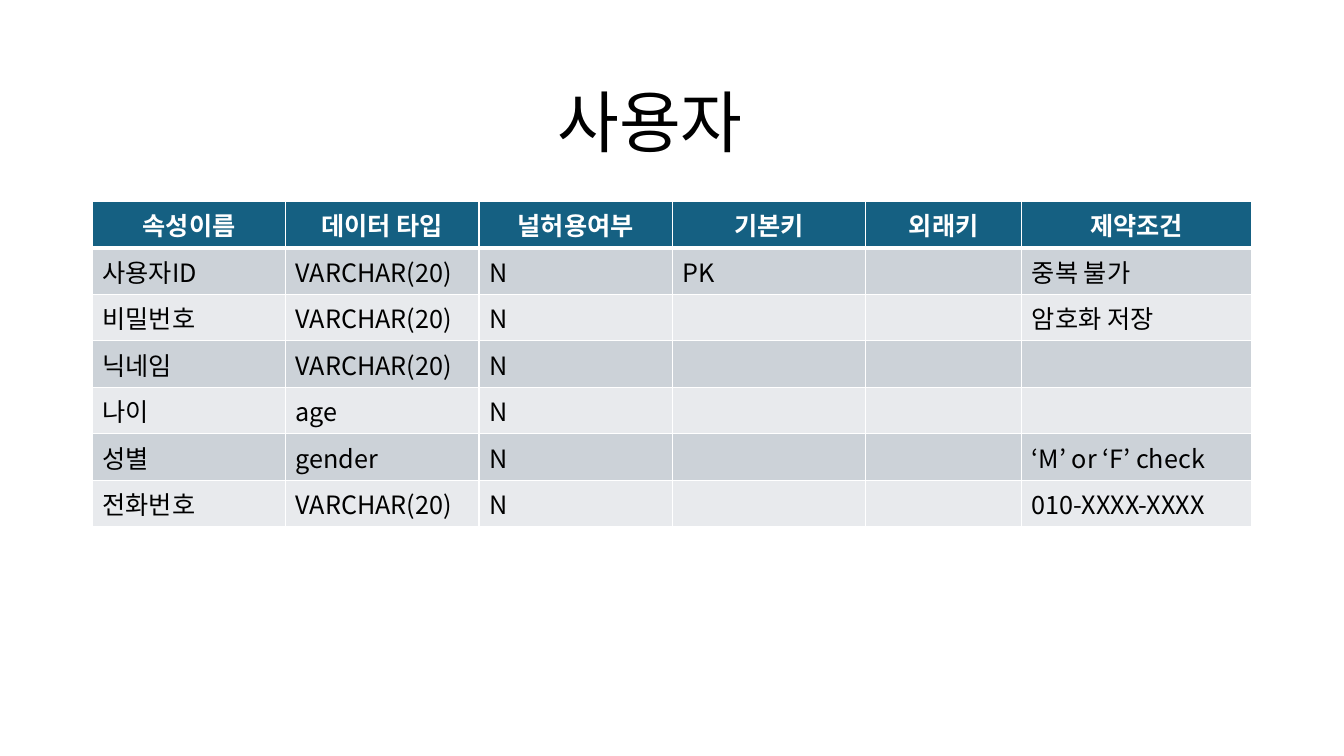
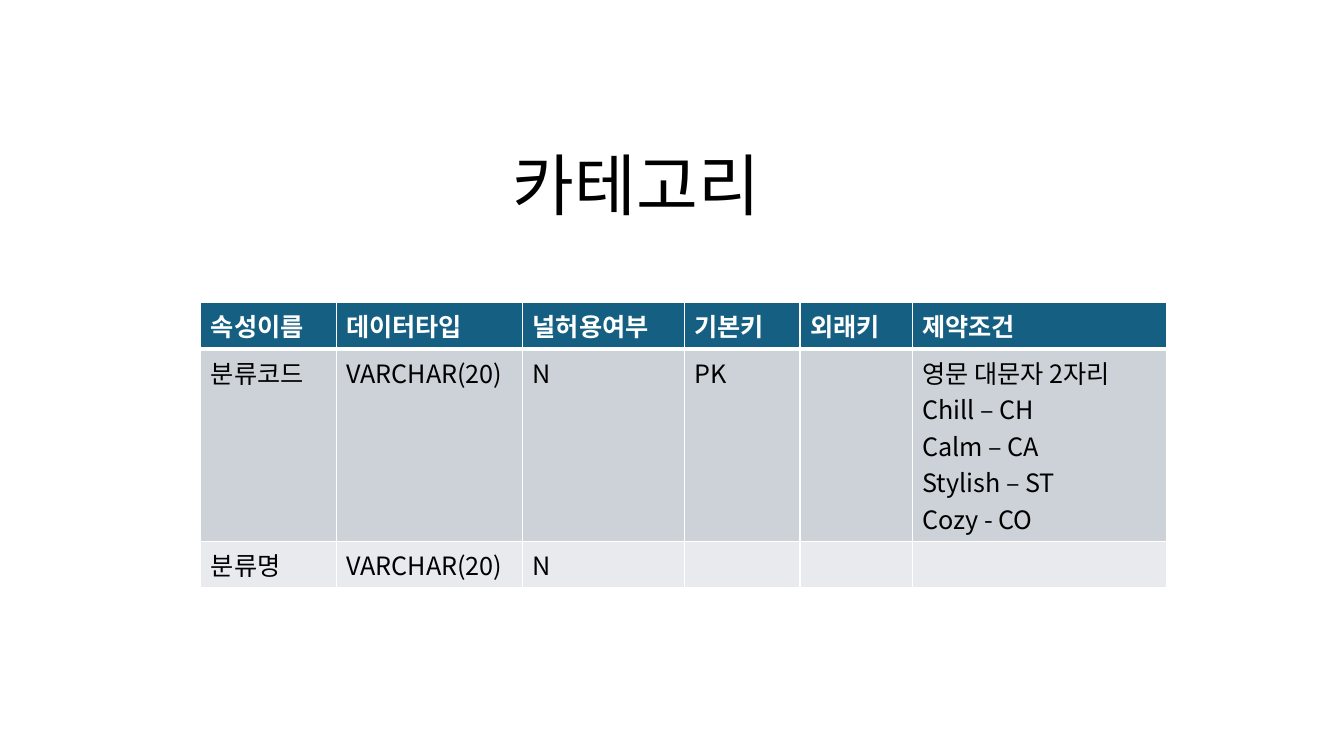
"""Build two slides that describe the user and category database tables."""
import lxml.etree
import pptx
import pptx.dml.color
import pptx.enum.text
import pptx.oxml.ns
import pptx.util

Cm = pptx.util.Cm
Pt = pptx.util.Pt
ALIGN = pptx.enum.text.PP_ALIGN
qn = pptx.oxml.ns.qn

FONT = "Noto Sans CJK KR"
COLORS = {
    "text": "000000",
    "header": "156082",
    "header_text": "FFFFFF",
    "band_dark": "CCD2D8",
    "band_light": "E8EAED",
    "border": "FFFFFF",
}
TITLE_SIZE = (7.37, 2.31)
ROW_HEIGHT = 1.17
EXTRA_LINE_HEIGHT = 0.92
THIN, THICK = 1, 3

USER_ROWS = [
    ["속성이름", "데이터 타입", "널허용여부", "기본키", "외래키", "제약조건"],
    ["사용자ID", "VARCHAR(20)", "N", "PK", "", "중복 불가"],
    ["비밀번호", "VARCHAR(20)", "N", "", "", "암호화 저장"],
    ["닉네임", "VARCHAR(20)", "N", "", "", ""],
    ["나이", "age", "N", "", "", ""],
    ["성별", "gender", "N", "", "", "‘M’ or ‘F’ check"],
    ["전화번호", "VARCHAR(20)", "N", "", "", "010-XXXX-XXXX"],
]
CODE_RULES = "영문 대문자 2자리\nChill – CH\nCalm – CA\nStylish – ST\nCozy - CO"
CATEGORY_ROWS = [
    ["속성이름", "데이터타입", "널허용여부", "기본키", "외래키", "제약조건"],
    ["분류코드", "VARCHAR(20)", "N", "PK", "", CODE_RULES],
    ["분류명", "VARCHAR(20)", "N", "", "", ""],
]


def rgb(name):
    """Return the named colour."""
    return pptx.dml.color.RGBColor.from_string(COLORS[name])


def row_height(values):
    """Return the height in centimetres that the tallest cell of a row needs."""
    extra_lines = max(value.count("\n") for value in values)
    return ROW_HEIGHT + EXTRA_LINE_HEIGHT * extra_lines


def format_text(frame, size, color, bold=False, align=ALIGN.LEFT):
    """Format every paragraph and run of a text frame."""
    for paragraph in frame.paragraphs:
        paragraph.alignment = align
        for run in paragraph.runs:
            run.font.name = FONT
            run.font.size = Pt(size)
            run.font.bold = bold
            run.font.color.rgb = rgb(color)
            east_asian = lxml.etree.Element(qn("a:ea"), typeface=FONT)
            run.font._element.find(qn("a:latin")).addnext(east_asian)


def set_borders(cell, top, bottom):
    """Draw the four borders of a cell, with widths in points."""
    properties = cell._tc.get_or_add_tcPr()
    widths = {"lnL": THIN, "lnR": THIN, "lnT": top, "lnB": bottom}
    for position, (side, width) in enumerate(widths.items()):
        line = lxml.etree.Element(qn(f"a:{side}"), w=str(Pt(width)))
        fill = lxml.etree.SubElement(line, qn("a:solidFill"))
        lxml.etree.SubElement(fill, qn("a:srgbClr"), val=COLORS["border"])
        properties.insert(position, line)


def add_title(slide, text, left, top):
    """Place and format the slide title."""
    title = slide.shapes.title
    title.left, title.top = Cm(left), Cm(top)
    title.width, title.height = map(Cm, TITLE_SIZE)
    frame = title.text_frame
    frame.text = text
    frame.word_wrap = True
    frame.vertical_anchor = pptx.enum.text.MSO_ANCHOR.TOP
    frame.auto_size = pptx.enum.text.MSO_AUTO_SIZE.SHAPE_TO_FIT_TEXT
    format_text(frame, 48, "text")


def add_schema_table(slide, rows, widths, left, top, header_align):
    """Add a banded table with a header row."""
    heights = [row_height(values) for values in rows]
    table = slide.shapes.add_table(
        len(rows), len(widths), Cm(left), Cm(top),
        Cm(sum(widths)), Cm(sum(heights)),
    ).table
    for column, width in zip(table.columns, widths):
        column.width = Cm(width)
    for row, height in zip(table.rows, heights):
        row.height = Cm(height)
    for row_index, values in enumerate(rows):
        is_header = row_index == 0
        band = "band_dark" if row_index % 2 else "band_light"
        for column_index, value in enumerate(values):
            cell = table.cell(row_index, column_index)
            cell.text_frame.text = value
            cell.fill.solid()
            cell.fill.fore_color.rgb = rgb("header" if is_header else band)
            format_text(
                cell.text_frame, 18,
                "header_text" if is_header else "text",
                bold=is_header,
                align=header_align if is_header else ALIGN.LEFT,
            )
            set_borders(
                cell,
                top=THICK if row_index == 1 else THIN,
                bottom=THICK if is_header else THIN,
            )


def main():
    """Build and save the presentation."""
    deck = pptx.Presentation()
    deck.slide_width, deck.slide_height = Cm(33.87), Cm(19.05)
    title_only = deck.slide_layouts[5]

    user = deck.slides.add_slide(title_only)
    add_title(user, "사용자", 13.79, 1.9)
    user_widths = [4.87] * 4 + [3.94, 5.79]
    add_schema_table(user, USER_ROWS, user_widths, 2.33, 5.08, ALIGN.CENTER)

    category = deck.slides.add_slide(title_only)
    add_title(category, "카테고리", 12.67, 3.48)
    category_widths = [3.41, 4.7, 4.07, 2.92, 2.83, 6.42]
    add_schema_table(category, CATEGORY_ROWS, category_widths, 5.06, 7.62, ALIGN.LEFT)

    deck.save("out.pptx")


if __name__ == "__main__":
    main()
